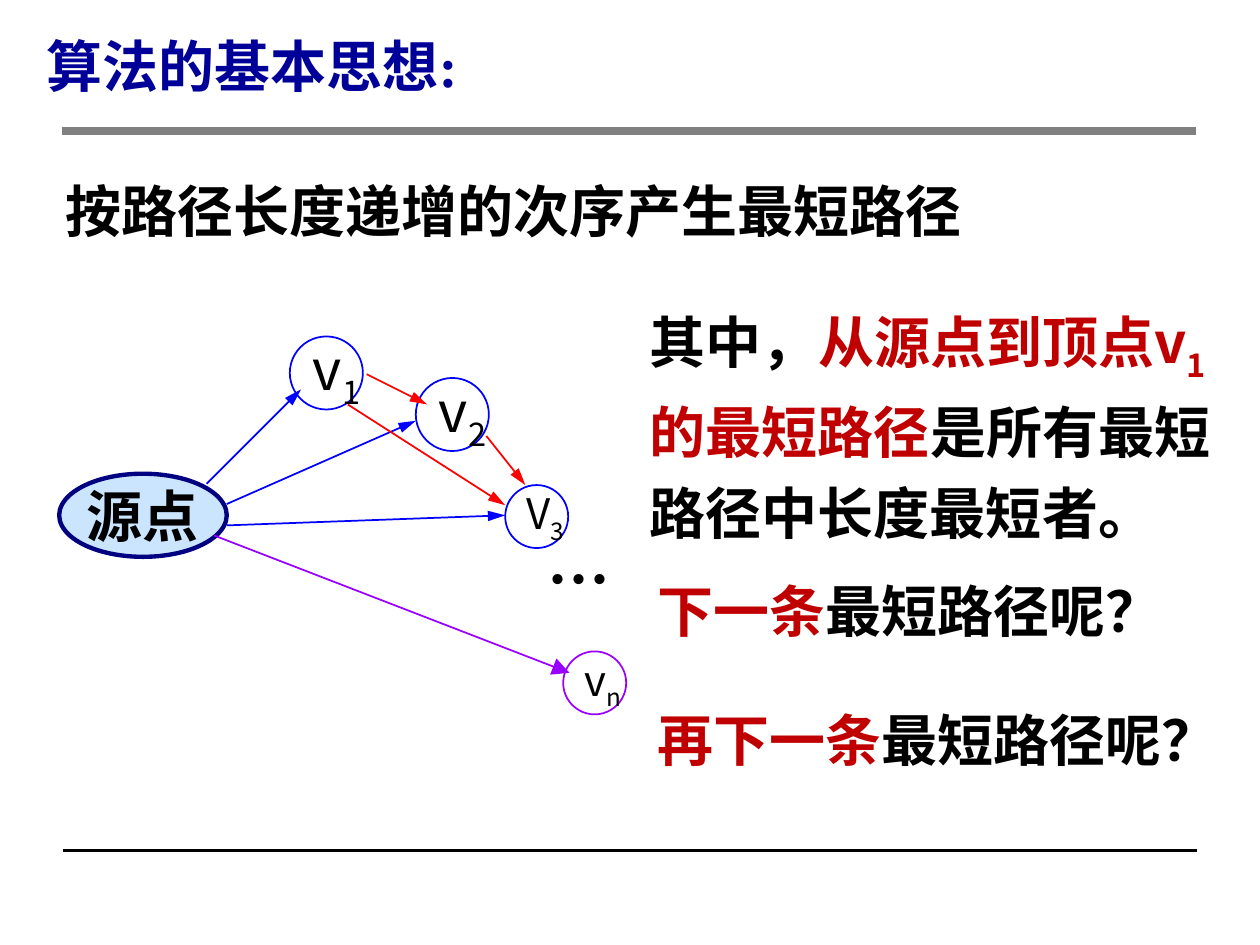
from lxml import etree
from pptx import Presentation
from pptx.dml.color import RGBColor
from pptx.enum.shapes import MSO_CONNECTOR, MSO_SHAPE
from pptx.enum.text import MSO_ANCHOR, PP_ALIGN
from pptx.oxml.ns import qn
from pptx.util import Inches, Pt

STRAIGHT = MSO_CONNECTOR.STRAIGHT
OVAL = MSO_SHAPE.OVAL
MIDDLE = MSO_ANCHOR.MIDDLE
LEFT, CENTER = PP_ALIGN.LEFT, PP_ALIGN.CENTER

THEME = {
    "font": "Noto Sans CJK SC", "title_font": "Times New Roman",
    "black": "000000", "title": "000099", "accent": "C00000", "gray": "808080",
    "blue": "0000FF", "red": "FF0000", "purple": "9900FF",
    "source_fill": "99CCFF", "source_line": "000080",
    "large": 32, "small": 24, "dots": 36,
}

# Rules: start, end, colour, width
RULES = [
    ((0.5, 6.75), (9.5, 6.75), "black", 2),
    ((0.49, 1.04), (9.49, 1.04), "gray", 5),
]

# Text boxes: position, line spacing, font, size, wrap, runs (text, colour, subscript)
TEXTS = [
    ((0.27, 0.07, 9.23, 0.8), 1.25, "title_font", "large", True,
     [("算法的基本思想:", "title", False)]),
    ((0.42, 1.35, 9.3, 0.64), 1, "font", "large", True,
     [("按路径长度递增的次序产生最短路径", "black", False)]),
    ((4.25, 4.24, 0.7, 0.7), 1, "font", "dots", False, [("…", "black", False)]),
    ((5.06, 2.27, 4.76, 2.04), 1.2, "font", "large", True,
     [("其中，", "black", False), ("从源点到顶点v", "accent", False),
      ("1", "accent", True), ("的最短路径", "accent", False),
      ("是所有最短路径中长度最短者。", "black", False)]),
    ((5.12, 4.42, 4.76, 0.75), 1.2, "font", "large", True,
     [("下一条", "accent", False), ("最短路径呢？", "black", False)]),
    ((5.12, 5.44, 4.76, 0.75), 1.2, "font", "large", True,
     [("再下一条", "accent", False), ("最短路径呢？", "black", False)]),
]

# Vertices: left, top, diameter, letter, index, text size, outline
VERTICES = [
    (2.3, 2.67, 0.58, "v", "1", "large", "blue"),
    (3.3, 3, 0.58, "v", "2", "large", "blue"),
    (4.01, 3.85, 0.5, "V", "3", "small", "blue"),
    (4.47, 5.17, 0.5, "v", "n", "small", "purple"),
]

# Edges: start, end, colour, arrowhead width
EDGES = [
    ((1.64, 3.84), (2.39, 3.09), "blue", "med"),
    ((1.8, 4), (3.3, 3.34), "blue", "med"),
    ((1.8, 4.17), (4.01, 4.09), "blue", "med"),
    ((1.7, 4.25), (4.52, 5.34), "purple", "lg"),
    ((2.91, 2.97), (3.39, 3.21), "red", "med"),
    ((2.76, 3.21), (4.01, 4.01), "red", "med"),
    ((3.86, 3.46), (4.17, 3.85), "red", "med"),
]


def color(name):
    return RGBColor.from_string(THEME[name])


def write(frame, runs, font="font", size="large", bold=True, spacing=1,
          align=LEFT, wrap=False):
    frame.word_wrap = wrap
    paragraph = frame.paragraphs[0]
    paragraph.alignment = align
    paragraph.line_spacing = spacing
    for text, run_color, subscript in runs:
        run = paragraph.add_run()
        run.text = text
        run.font.name = THEME[font]
        run.font.size = Pt(THEME[size])
        run.font.bold = bold
        run.font.color.rgb = color(run_color)
        properties = run.font._element
        etree.SubElement(properties, qn("a:ea"), typeface=THEME["font"])
        if subscript:
            properties.set("baseline", "-25000")


def add_line(slide, start, end, line_color, width, head=None):
    line = slide.shapes.add_connector(STRAIGHT, *map(Inches, start + end))
    line.line.color.rgb = color(line_color)
    line.line.width = Pt(width)
    properties = line._element.spPr
    if head:
        etree.SubElement(properties.find(qn("a:ln")), qn("a:tailEnd"),
                         type="triangle", w=head, len="lg")
    etree.SubElement(properties, qn("a:effectLst"))


def add_ellipse(slide, position, line_color, width):
    shape = slide.shapes.add_shape(OVAL, *map(Inches, position))
    shape.shadow.inherit = False
    shape.fill.background()
    shape.line.color.rgb = color(line_color)
    shape.line.width = Pt(width)
    shape.text_frame.vertical_anchor = MIDDLE
    return shape


def main():
    presentation = Presentation()
    presentation.slide_width, presentation.slide_height = Inches(10), Inches(7.5)
    slide = presentation.slides.add_slide(presentation.slide_layouts[6])

    for rule in RULES:
        add_line(slide, *rule)

    # Source vertex with a half-transparent fill
    source = add_ellipse(slide, (0.47, 3.76, 1.33, 0.66), "source_line", 2.5)
    source.fill.solid()
    source.fill.fore_color.rgb = color("source_fill")
    fill_color = source._element.spPr.find(qn("a:solidFill"))[0]
    etree.SubElement(fill_color, qn("a:alpha"), val="50000")
    write(source.text_frame, [("源点", "black", False)], align=CENTER)

    # Other vertices and the edges
    for left, top, diameter, letter, index, size, outline in VERTICES:
        vertex = add_ellipse(slide, (left, top, diameter, diameter), outline, 1)
        write(vertex.text_frame, [(letter, "black", False), (index, "black", True)],
              size=size, bold=False)
    for start, end, edge_color, head in EDGES:
        add_line(slide, start, end, edge_color, 1, head)

    # Title, statement and explanations
    for position, spacing, font, size, wrap, runs in TEXTS:
        box = slide.shapes.add_textbox(*map(Inches, position))
        write(box.text_frame, runs, font, size, spacing=spacing, wrap=wrap)

    presentation.save("out.pptx")


if __name__ == "__main__":
    main()
